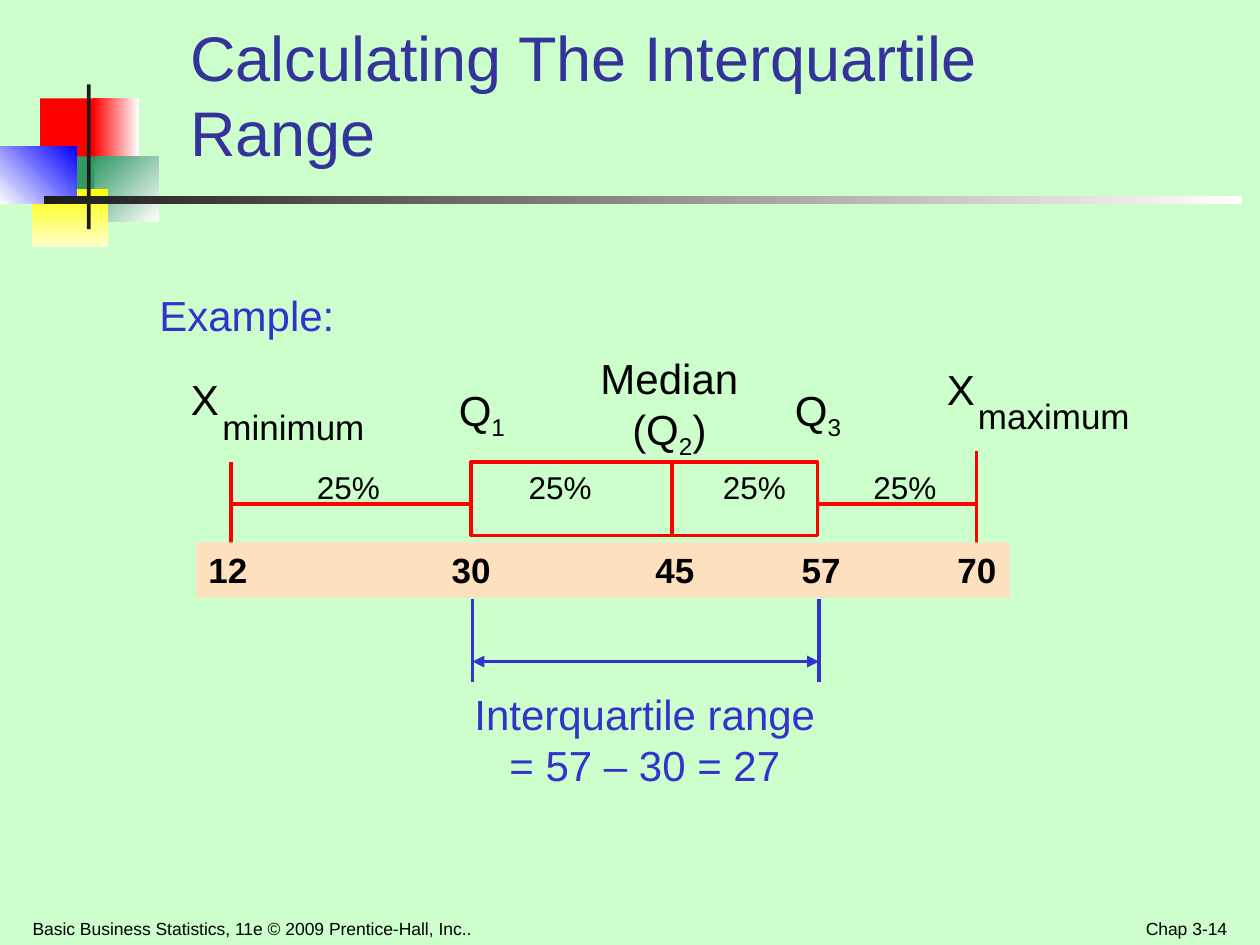
from lxml import etree
from pptx import Presentation
from pptx.dml.color import RGBColor
from pptx.enum.shapes import MSO_CONNECTOR, MSO_SHAPE
from pptx.enum.text import MSO_ANCHOR, PP_ALIGN
from pptx.oxml.ns import qn
from pptx.util import Pt

RECTANGLE = MSO_SHAPE.RECTANGLE
STRAIGHT = MSO_CONNECTOR.STRAIGHT
LEFT, CENTER, RIGHT = PP_ALIGN.LEFT, PP_ALIGN.CENTER, PP_ALIGN.RIGHT
TOP, BOTTOM = MSO_ANCHOR.TOP, MSO_ANCHOR.BOTTOM

COLORS = {
    "mint": "CCFFCC", "red": "FF0000", "white": "FFFFFF", "green": "339966",
    "yellow": "FFFF00", "cream": "FFFFCC", "blue": "0000FF", "ink": "1C1C1C",
    "black": "000000", "title": "333399", "accent": "3333CC", "peach": "FDE0BD",
}

# left, top, width, height, colours, clockwise gradient angle
ORNAMENT = [
    (23, 56.2, 34.6, 37.4, ["red"], 0),
    (53.3, 56.2, 25.9, 37.4, ["red", "white"], 0),
    (54, 89.3, 36.7, 37.4, ["green", "white"], 45),
    (31, 89.3, 23, 37.4, ["green"], 0),
    (18, 108, 43.9, 33.1, ["yellow", "cream"], 90),
    (0, 83.5, 43.9, 33.1, ["white", "blue"], 315),
    (49.7, 48.2, 2.2, 82.8, ["ink"], 0),
    (25.2, 112.3, 684.7, 4.3, ["ink", "white"], 0),
]

# left, top, width, height, lines, size, colour, alignment, anchor
# a line given as a tuple holds its subscript at the second place
LABELS = [
    (11.5, 514.8, 365.8, 25.2,
     ["Basic Business Statistics, 11e © 2009 Prentice-Hall, Inc.."],
     10, "black", LEFT, BOTTOM),
    (540.5, 514.8, 167.8, 25.2, ["Chap 3-14"], 10, "black", RIGHT, BOTTOM),
    (101.7, 29.8, 563.8, 70.6, ["Calculating The Interquartile Range"],
     36, "title", LEFT, BOTTOM),
    (84, 162, 114.5, 36, ["Example:"], 24, "accent", LEFT, TOP),
    (336, 198, 93, 68.4, ["Median", ("(Q", "2", ")")], 24, "black", CENTER, TOP),
    (534, 204, 30.2, 36, ["X"], 24, "black", LEFT, TOP),
    (551.7, 222, 108, 31, ["maximum"], 20, "black", LEFT, TOP),
    (102, 210, 30.2, 36, ["X"], 24, "black", LEFT, TOP),
    (120, 228, 100, 31, ["minimum"], 20, "black", LEFT, TOP),
    (254.9, 216, 41, 39.6, [("Q", "1")], 24, "black", CENTER, TOP),
    (447, 216, 41, 39.6, [("Q", "3")], 24, "black", CENTER, TOP),
    (263.5, 390, 210, 64.8, ["Interquartile range", "= 57 – 30 = 27"],
     24, "accent", CENTER, TOP),
]

SHARES = ["25%"] * 4
SHARE_TABS = [121, 232, 318]
VALUES = ["12", "30", "45", "57", "70"]
VALUE_TABS = [139, 255.5, 339, 428]

MINIMUM, Q1, MEDIAN, Q3, MAXIMUM = 132, 270, 384, 468, 558
BOX_TOP, WHISKER, BOX_BOTTOM, SCALE = 264, 288, 306, 312
SCALE_BOTTOM, RANGE, RANGE_BOTTOM = 342, 378, 390

PLOT_LINES = [
    (MEDIAN, BOX_BOTTOM, MEDIAN, BOX_TOP),
    (Q3, WHISKER, MAXIMUM, WHISKER),
    (MINIMUM, WHISKER, Q1, WHISKER),
    (MAXIMUM, SCALE, MAXIMUM, 258),
    (MINIMUM, SCALE, MINIMUM, BOX_TOP),
]


def color(name):
    return RGBColor.from_string(COLORS[name])


def add_block(page, place, fills=(), angle=0):
    block = page.shapes.add_shape(RECTANGLE, *map(Pt, place))
    block.shadow.inherit = False
    block.line.fill.background()
    if len(fills) == 2:
        block.fill.gradient()
        block.fill.gradient_angle = -angle % 360
        for stop, name in zip(block.fill.gradient_stops, fills):
            stop.color.rgb = color(name)
    elif fills:
        block.fill.solid()
        block.fill.fore_color.rgb = color(fills[0])
    else:
        block.fill.background()
    return block


def write(box, lines, size, ink, align=LEFT, anchor=TOP, tabs=(), bold=False):
    frame = box.text_frame
    frame.word_wrap = True
    frame.vertical_anchor = anchor
    frame.margin_left = frame.margin_right = Pt(7.2)
    frame.margin_top = frame.margin_bottom = Pt(3.6)
    for number, line in enumerate(lines):
        para = frame.add_paragraph() if number else frame.paragraphs[0]
        para.alignment = align
        if tabs:
            stops = etree.SubElement(para._p.get_or_add_pPr(), qn("a:tabLst"))
            for tab in tabs:
                etree.SubElement(stops, qn("a:tab"), pos=str(Pt(tab)), algn="l")
        para.font.name = "Arial"
        para.font.size = Pt(size)
        para.font.bold = bold
        para.font.color.rgb = color(ink)
        for place, text in enumerate([line] if isinstance(line, str) else line):
            span = para.add_run()
            span.text = text
            if place == 1:
                span._r.get_or_add_rPr().set("baseline", "-25000")


def add_text(page, place, *style, **options):
    write(page.shapes.add_textbox(*map(Pt, place)), *style, **options)


def add_line(page, ends, ink, width=2, arrows=False):
    line = page.shapes.add_connector(STRAIGHT, *map(Pt, ends))
    line.line.color.rgb = color(ink)
    line.line.width = Pt(width)
    if arrows:
        for end in ("a:headEnd", "a:tailEnd"):
            etree.SubElement(line.line._get_or_add_ln(), qn(end), type="triangle")
    etree.SubElement(line._element.spPr, qn("a:effectLst"))


def main():
    deck = Presentation()
    deck.slide_width, deck.slide_height = Pt(720), Pt(540)
    page = deck.slides.add_slide(deck.slide_layouts[6])
    page.background.fill.solid()
    page.background.fill.fore_color.rgb = color("mint")

    for *place, fills, angle in ORNAMENT:
        add_block(page, place, fills, angle)

    add_line(page, (Q1, RANGE, Q3, RANGE), "accent", 2.25, arrows=True)
    quartile_box = add_block(page, (Q1 - 0.7, BOX_TOP, Q3 - Q1, BOX_BOTTOM - BOX_TOP))
    quartile_box.line.color.rgb = color("red")
    quartile_box.line.width = Pt(2)
    for ends in PLOT_LINES:
        add_line(page, ends, "red")

    for left, top, width, height, *style in LABELS:
        add_text(page, (left, top, width, height), *style)
    add_text(page, (174, 264, 368.6, 28.8), ["\t".join(SHARES)], 18, "black",
             tabs=SHARE_TABS)

    scale = add_block(page, (112, 310, 465, 31.5), ["peach"])
    write(scale, ["\t".join(VALUES)], 20, "black", tabs=VALUE_TABS, bold=True)
    for x in (Q3, Q1):
        add_line(page, (x, RANGE_BOTTOM, x, SCALE_BOTTOM), "accent")

    deck.save("out.pptx")


if __name__ == "__main__":
    main()
